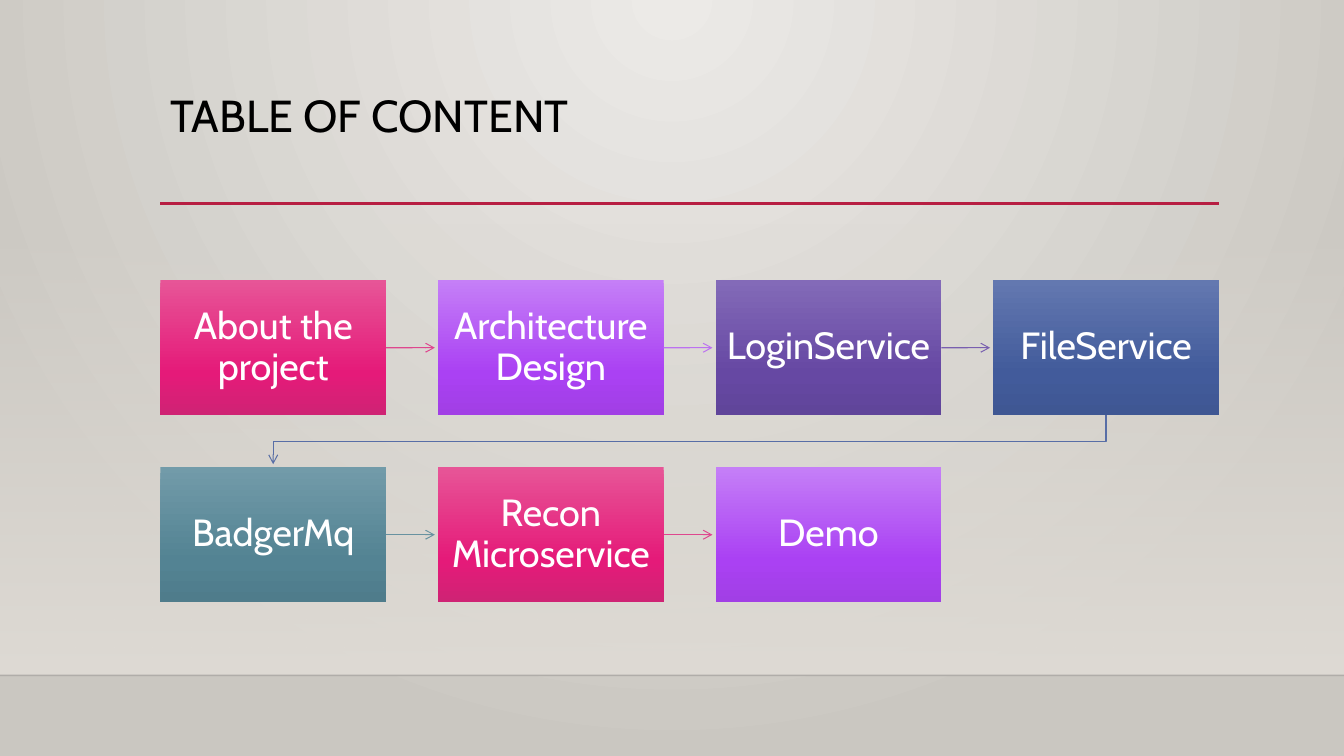
from dataclasses import dataclass
from itertools import cycle, pairwise

from lxml.etree import SubElement
from pptx import Presentation
from pptx.dml.color import RGBColor
from pptx.enum.shapes import MSO_CONNECTOR, MSO_SHAPE
from pptx.enum.text import MSO_ANCHOR, PP_ALIGN
from pptx.oxml.ns import qn
from pptx.util import Inches, Pt


@dataclass(frozen=True)
class Stop:
    percent: int
    color: str
    opacity: int = 100


@dataclass(frozen=True)
class Swatch:
    top: str
    middle: str
    bottom: str
    arrow: str

    def stops(self) -> list[Stop]:
        return [Stop(0, self.top), Stop(69, self.middle), Stop(100, self.bottom)]


@dataclass(frozen=True)
class Rule:
    left: float
    right: float
    top: float
    color: str
    weight: float
    opacity: int = 100


@dataclass(frozen=True)
class Theme:
    font: str = "Cabin"
    title_size: int = 32
    card_size: int = 27
    title_color: str = "000000"
    card_color: str = "FFFFFF"
    backdrop: tuple = (Stop(0, "ECEAE7"), Stop(100, "CAC7C1"))
    band: tuple = (Stop(0, "DFDBD5", 0), Stop(100, "DFDBD5"))
    arrow_weight: float = 0.75
    swatches: tuple = (
        Swatch("E75597", "E51A79", "CF2374", "DE478E"),
        Swatch("C57FF7", "AA41F3", "A13FE5", "BC72F0"),
        Swatch("836AB8", "6648A3", "60459A", "795FAF"),
        Swatch("6378B0", "425B9B", "3F5793", "586EA6"),
        Swatch("729BA9", "538393", "4F7C8B", "6892A0"),
    )


@dataclass(frozen=True)
class Card:
    label: str
    row: int
    column: int
    swatch: Swatch

    @property
    def left(self) -> float:
        return LEFT + self.column * COLUMN_PITCH

    @property
    def top(self) -> float:
        return GRID_TOP + self.row * ROW_PITCH

    @property
    def center(self) -> float:
        return self.left + CARD_WIDTH / 2


THEME = Theme()
SLIDE_WIDTH, SLIDE_HEIGHT = 13.33, 7.5
LEFT, CONTENT_WIDTH = 1.59, 10.5
COLUMNS = 4
CARD_WIDTH, CARD_HEIGHT = 2.24, 1.34
COLUMN_PITCH = (CONTENT_WIDTH - CARD_WIDTH) / (COLUMNS - 1)
GRID_TOP, ROW_PITCH = 2.78, 1.855
ARROW_GAP = 0.03
FLOOR_TOP = 6.7
BAND_TOP = 2.21

TOPICS = ["About the project", "Architecture Design", "LoginService", "FileService",
          "BadgerMq", "Recon Microservice", "Demo"]
RULES = [
    Rule(0, SLIDE_WIDTH, FLOOR_TOP, "000001", 1, 20),
    Rule(LEFT, LEFT + CONTENT_WIDTH, 2.02, "B71E42", 2.5),
]


def add_opacity(color, opacity: int) -> None:
    if opacity < 100:
        SubElement(color, qn("a:alpha"), val=str(opacity * 1000))


def set_gradient(parent, stops, radial: bool = False) -> None:
    solid = parent.find(qn("a:solidFill"))
    gradient = SubElement(parent, qn("a:gradFill"), rotWithShape="1")
    parent.replace(solid, gradient)
    stop_list = SubElement(gradient, qn("a:gsLst"))
    for stop in stops:
        node = SubElement(stop_list, qn("a:gs"), pos=str(stop.percent * 1000))
        add_opacity(SubElement(node, qn("a:srgbClr"), val=stop.color), stop.opacity)
    if radial:
        circle = SubElement(gradient, qn("a:path"), path="circle")
        SubElement(circle, qn("a:fillToRect"), l="43000", t="0", r="43000", b="100000")
    else:
        SubElement(gradient, qn("a:lin"), ang="5400000", scaled="0")


def add_gradient_box(page, left: float, top: float, width: float, height: float, stops):
    box = page.shapes.add_shape(MSO_SHAPE.RECTANGLE, Inches(left), Inches(top),
                                Inches(width), Inches(height))
    box.shadow.inherit = False
    box.line.fill.background()
    box.fill.solid()
    set_gradient(box.element.spPr, stops)
    return box


def set_text(box, text: str, size: int, color: str) -> None:
    frame = box.text_frame
    frame.word_wrap = True
    frame.text = text
    para = frame.paragraphs[0]
    para.line_spacing = 0.9
    for span in para.runs:
        span.font.name = THEME.font
        span.font.size = Pt(size)
        span.font.color.rgb = RGBColor.from_string(color)


def style_line(shape, color: str, weight: float, arrow: bool = False) -> None:
    shape.line.color.rgb = RGBColor.from_string(color)
    shape.line.width = Pt(weight)
    SubElement(shape.element.spPr, qn("a:effectLst"))
    if arrow:
        SubElement(shape.line._get_or_add_ln(), qn("a:tailEnd"), type="arrow")


def add_line(page, left: float, right: float, top: float):
    return page.shapes.add_connector(MSO_CONNECTOR.STRAIGHT, Inches(left), Inches(top),
                                     Inches(right), Inches(top))


def add_rule(page, rule: Rule) -> None:
    line = add_line(page, rule.left, rule.right, rule.top)
    style_line(line, rule.color, rule.weight)
    add_opacity(line.element.spPr.find(".//" + qn("a:srgbClr")), rule.opacity)


def add_title(page, text: str) -> None:
    box = page.shapes.add_textbox(Inches(LEFT), Inches(0.88),
                                  Inches(CONTENT_WIDTH), Inches(1.15))
    set_text(box, text, THEME.title_size, THEME.title_color)


def add_card(page, card: Card):
    box = add_gradient_box(page, card.left, card.top, CARD_WIDTH, CARD_HEIGHT,
                           card.swatch.stops())
    set_text(box, card.label, THEME.card_size, THEME.card_color)
    frame = box.text_frame
    frame.margin_left = frame.margin_right = Inches(0.1)
    frame.margin_top = frame.margin_bottom = Inches(0.12)
    frame.vertical_anchor = MSO_ANCHOR.MIDDLE
    frame.paragraphs[0].alignment = PP_ALIGN.CENTER
    return box


def add_arrow(page, start: Card, finish: Card, start_box) -> None:
    if start.row == finish.row:
        arrow = add_line(page, start.left + CARD_WIDTH, finish.left - ARROW_GAP,
                         start.top + CARD_HEIGHT / 2)
        arrow.begin_connect(start_box, 3)
    else:
        bottom = start.top + CARD_HEIGHT
        turn = (bottom + finish.top) / 2
        bends = [(start.center, turn), (finish.center, turn),
                 (finish.center, finish.top - ARROW_GAP)]
        outline = page.shapes.build_freeform(Inches(start.center), Inches(bottom))
        outline.add_line_segments([(Inches(x), Inches(y)) for x, y in bends], close=False)
        arrow = outline.convert_to_shape()
        arrow.fill.background()
    style_line(arrow, start.swatch.arrow, THEME.arrow_weight, arrow=True)


def main() -> None:
    deck = Presentation()
    deck.slide_width, deck.slide_height = Inches(SLIDE_WIDTH), Inches(SLIDE_HEIGHT)
    page = deck.slides.add_slide(deck.slide_layouts[6])
    page.background.fill.solid()
    set_gradient(page.element.find(".//" + qn("p:bgPr")), THEME.backdrop, radial=True)
    add_gradient_box(page, 0, BAND_TOP, SLIDE_WIDTH, FLOOR_TOP - BAND_TOP, THEME.band)
    for rule in RULES:
        add_rule(page, rule)
    add_title(page, "TABLE OF CONTENT")
    cards = [Card(topic, *divmod(index, COLUMNS), swatch)
             for index, (topic, swatch) in enumerate(zip(TOPICS, cycle(THEME.swatches)))]
    boxes = [add_card(page, card) for card in cards]
    for (start, finish), box in zip(pairwise(cards), boxes):
        add_arrow(page, start, finish, box)
    deck.save("out.pptx")


if __name__ == "__main__":
    main()
